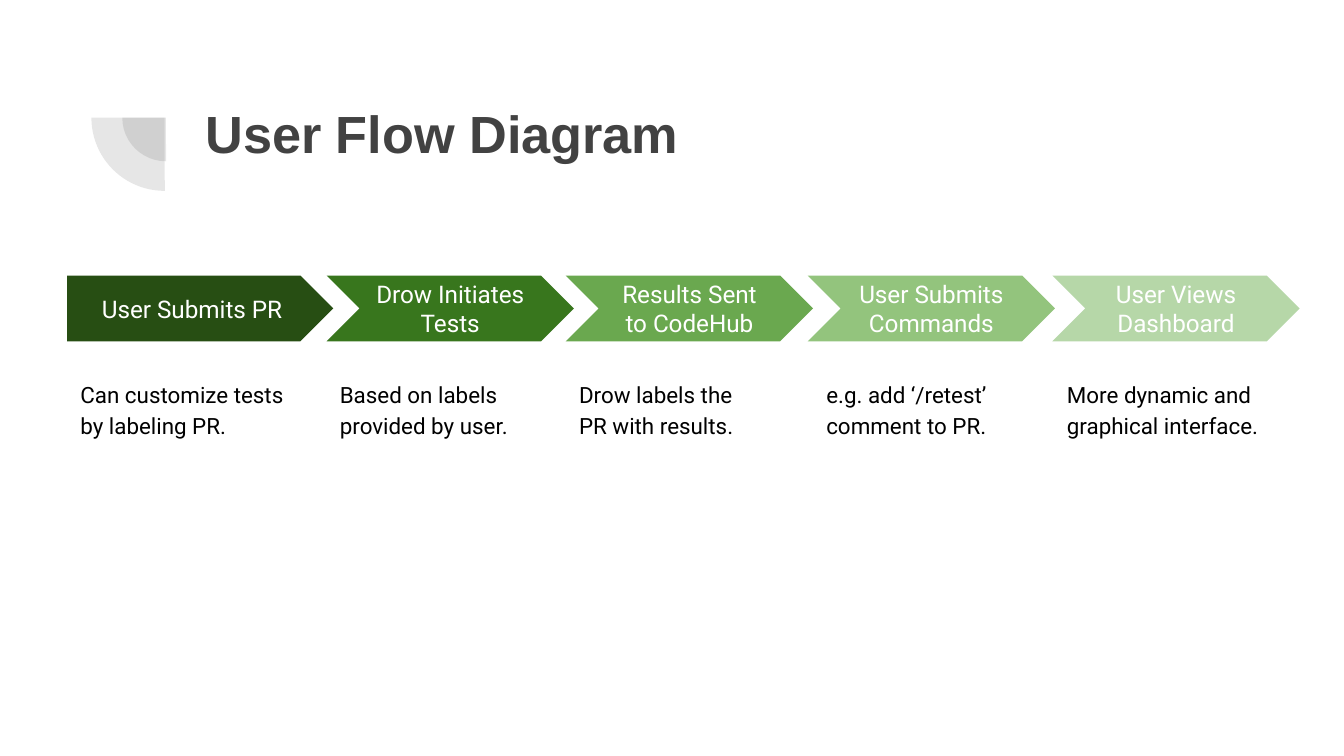
"""Build the user flow slide: a titled row of five arrows with captions."""
from dataclasses import dataclass

from lxml.etree import SubElement
from pptx import Presentation
from pptx.dml.color import RGBColor
from pptx.enum.shapes import MSO_SHAPE
from pptx.enum.text import MSO_ANCHOR, PP_ALIGN
from pptx.oxml.ns import qn
from pptx.shapes.autoshape import Shape
from pptx.slide import Slide
from pptx.util import Inches, Pt

WIDTH = Inches(10)
HEIGHT = WIDTH * 9 // 16
GRAY = RGBColor(0x42, 0x42, 0x42)
WHITE = RGBColor(0xFF, 0xFF, 0xFF)
BLACK = RGBColor(0x00, 0x00, 0x00)
ARROW_TOP, ARROW_HEIGHT = Inches(2.05), Inches(0.49)
CAPTION_TOP, CAPTION_HEIGHT = Inches(2.71), Inches(0.6)


@dataclass(frozen=True)
class Quarter:
    """A quarter disc, given by the square around its full disc in inches."""

    left: float
    top: float
    diameter: float


@dataclass(frozen=True)
class Step:
    """One step of the flow, with horizontal lengths as percent of the slide width."""

    label: str
    caption: str
    color: RGBColor
    left: float
    caption_left: float
    caption_width: float
    width: float = 18.4
    kind: MSO_SHAPE = MSO_SHAPE.CHEVRON


QUARTERS = (Quarter(0.91, 0.55, 0.65), Quarter(0.68, 0.33, 1.09))
STEPS = (
    Step("User Submits PR", "Can customize tests by labeling PR.",
         RGBColor(0x27, 0x4E, 0x13), 5, 5, 17.4, 19.8, MSO_SHAPE.PENTAGON),
    Step("Drow Initiates Tests", "Based on labels provided by user.",
         RGBColor(0x38, 0x76, 0x1D), 24.3, 24.3, 15.8),
    Step("Results Sent to CodeHub", "Drow labels the PR with results.",
         RGBColor(0x6A, 0xA8, 0x4F), 42.1, 42.1, 15.8),
    Step("User Submits Commands", "e.g. add ‘/retest’ comment to PR.",
         RGBColor(0x93, 0xC4, 0x7D), 60.1, 60.5, 15.3),
    Step("User Views Dashboard", "More dynamic and graphical interface.",
         RGBColor(0xB6, 0xD7, 0xA8), 78.3, 78.4, 16.5),
)


def across(percent: float) -> int:
    """Return a percentage of the slide width as a length."""
    return round(WIDTH * percent / 100)


def write_text(shape: Shape, text: str, *, size: float, color: RGBColor,
               font: str = "Roboto", bold: bool = False,
               align: PP_ALIGN = PP_ALIGN.LEFT,
               anchor: MSO_ANCHOR = MSO_ANCHOR.TOP,
               line_spacing: float = 1.0) -> None:
    """Put one formatted paragraph into a shape."""
    frame = shape.text_frame
    frame.word_wrap = True
    frame.vertical_anchor = anchor
    frame.margin_left = frame.margin_right = Inches(0.1)
    frame.margin_top = frame.margin_bottom = Inches(0.1)
    paragraph = frame.paragraphs[0]
    paragraph.alignment = align
    paragraph.line_spacing = line_spacing
    run = paragraph.add_run()
    run.text = text
    run.font.name = font
    run.font.size = Pt(size)
    run.font.bold = bold
    run.font.color.rgb = color


def add_filled(slide: Slide, kind: MSO_SHAPE, left: int, top: int,
               width: int, height: int, color: RGBColor) -> Shape:
    """Add a flat preset shape without outline or shadow."""
    shape = slide.shapes.add_shape(kind, left, top, width, height)
    shape.shadow.inherit = False
    shape.fill.solid()
    shape.fill.fore_color.rgb = color
    shape.line.fill.background()
    return shape


def add_quarter(slide: Slide, quarter: Quarter) -> None:
    """Add a translucent lower-left quarter of a disc."""
    size = Inches(quarter.diameter)
    pie = add_filled(slide, MSO_SHAPE.PIE, Inches(quarter.left),
                     Inches(quarter.top), size, size, GRAY)
    pie.adjustments[0], pie.adjustments[1] = 107.93, 162
    pie.rotation = 270
    color = pie.fill._xPr.find(qn("a:solidFill"))[0]
    SubElement(color, qn("a:alpha"), val="13000")


def add_step(slide: Slide, step: Step) -> None:
    """Add the arrow of a step and the caption below it."""
    arrow = add_filled(slide, step.kind, across(step.left), ARROW_TOP,
                       across(step.width), ARROW_HEIGHT, step.color)
    write_text(arrow, step.label, size=13, color=WHITE,
               align=PP_ALIGN.CENTER, anchor=MSO_ANCHOR.MIDDLE)
    caption = slide.shapes.add_textbox(across(step.caption_left), CAPTION_TOP,
                                       across(step.caption_width), CAPTION_HEIGHT)
    write_text(caption, step.caption, size=12, color=BLACK, line_spacing=1.15)


def main() -> None:
    """Build and save the presentation."""
    presentation = Presentation()
    presentation.slide_width, presentation.slide_height = WIDTH, HEIGHT
    slide = presentation.slides.add_slide(presentation.slide_layouts[6])
    for quarter in QUARTERS:
        add_quarter(slide, quarter)
    title = slide.shapes.add_textbox(Inches(1.43), Inches(0.65),
                                     Inches(7.69), Inches(1.09))
    write_text(title, "User Flow Diagram", size=28, color=GRAY,
               font="Arial", bold=True)
    for step in STEPS:
        add_step(slide, step)
    presentation.save("out.pptx")


if __name__ == "__main__":
    main()
